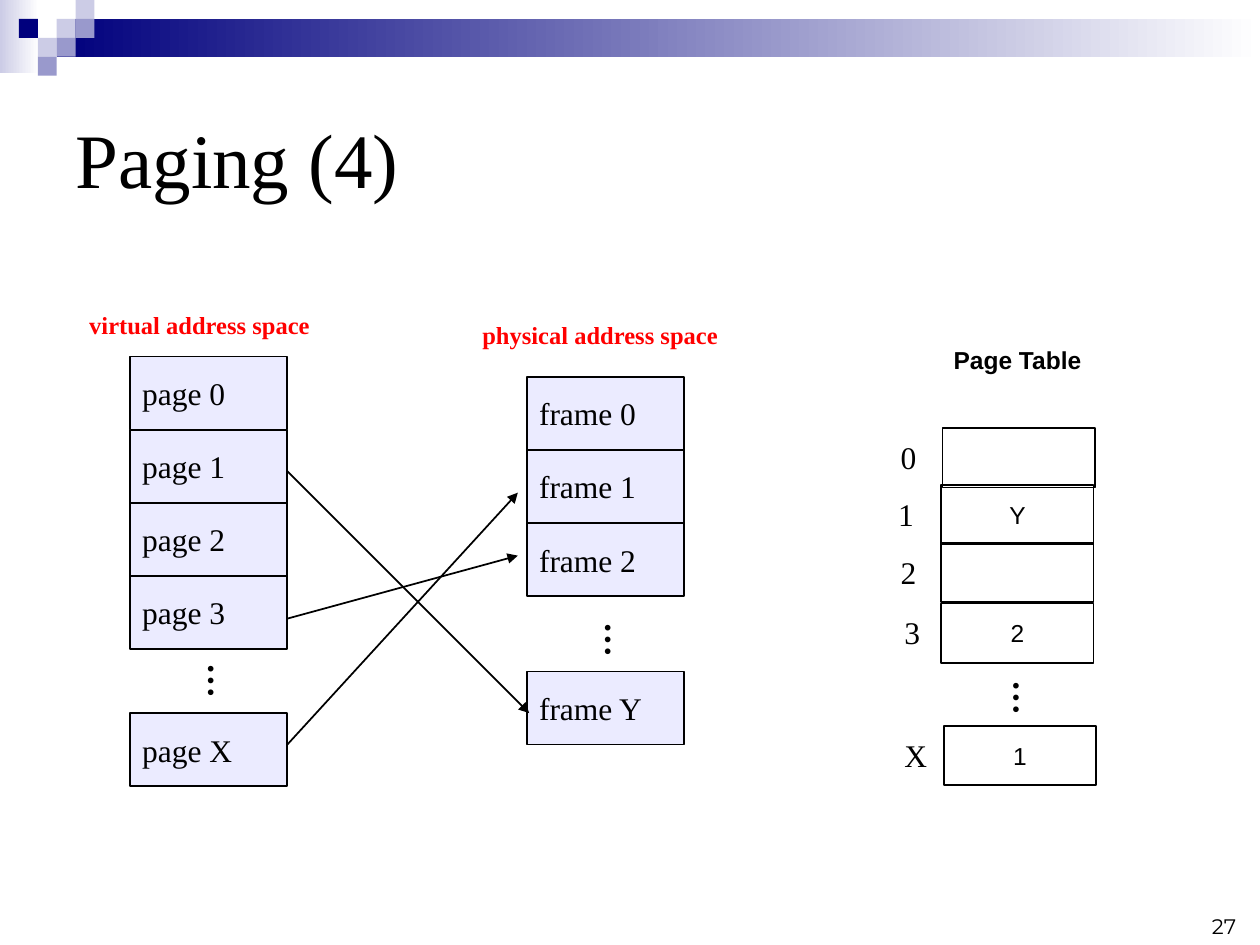
from dataclasses import dataclass

from lxml.etree import SubElement
from pptx import Presentation
from pptx.dml.color import RGBColor
from pptx.enum.shapes import MSO_CONNECTOR, MSO_SHAPE
from pptx.enum.text import MSO_ANCHOR as Anchor, PP_ALIGN as Align
from pptx.oxml.ns import qn
from pptx.util import Inches, Pt


@dataclass(frozen=True)
class Theme:
    navy: str = "00007D"
    violet: str = "9999CC"
    lavender: str = "CCCCE6"
    cell: str = "EBEBFF"
    white: str = "FFFFFF"
    black: str = "000000"
    red: str = "FF0000"
    serif: str = "Times New Roman"
    sans: str = "Arial"
    number_font: str = "Montserrat"
    title: int = 44
    dots: int = 20
    body: int = 18
    caption: int = 14
    number: int = 12


THEME = Theme()
CELL_WIDTH, CELL_HEIGHT = 1.25, 0.58
ENTRY_WIDTH, ENTRY_HEIGHT = 1.21, 0.47


def color(value):
    return RGBColor.from_string(value)


def write(shape, text, size, font=THEME.serif, ink=THEME.black, bold=False,
          align=Align.LEFT, anchor=Anchor.TOP, wrap=False):
    frame = shape.text_frame
    frame.word_wrap = wrap
    frame.vertical_anchor = anchor
    para = frame.paragraphs[0]
    para.alignment = align
    span = para.add_run()
    span.text = text
    span.font.name = font
    span.font.size = Pt(size)
    span.font.bold = bold
    span.font.color.rgb = color(ink)


def add_text(page, box, text, size, **style):
    shape = page.shapes.add_textbox(*map(Inches, box))
    write(shape, text, size, **style)
    return shape


def add_box(page, box, fill=None, outlined=True):
    shape = page.shapes.add_shape(MSO_SHAPE.RECTANGLE, *map(Inches, box))
    shape.shadow.inherit = False
    if fill:
        shape.fill.solid()
        shape.fill.fore_color.rgb = color(fill)
    else:
        shape.fill.background()
    if outlined:
        shape.line.color.rgb = color(THEME.black)
        shape.line.width = Pt(1)
    else:
        shape.line.fill.background()
    return shape


def add_fade(page, box, start):
    """Add a bar that fades from the start colour to white, left to right."""
    bar = add_box(page, box, outlined=False)
    bar.fill.gradient()
    bar.fill.gradient_angle = 0
    for stop, value, position in zip(bar.fill.gradient_stops, (start, THEME.white), (0, 1)):
        stop.color.rgb = color(value)
        stop.position = position


def add_dots(page, left, top):
    dots = add_text(page, (left, top, 0.48, 0.43), "…", THEME.dots, bold=True)
    dots.rotation = 270


def add_arrow(page, start, end):
    arrow = page.shapes.add_connector(MSO_CONNECTOR.STRAIGHT, *map(Inches, start + end))
    arrow.line.color.rgb = color(THEME.black)
    arrow.line.width = Pt(1)
    SubElement(arrow.line._get_or_add_ln(), qn("a:tailEnd"), type="triangle")
    SubElement(arrow._element.spPr, qn("a:effectLst"))


def add_header(page):
    add_fade(page, (0, 0, 0.31, 0.58), THEME.lavender)
    add_fade(page, (0.45, 0.15, 9.55, 0.3), THEME.navy)
    side = 0.15
    tiles = [(3, 1, THEME.lavender), (4, 0, THEME.lavender), (4, 1, THEME.violet),
             (2, 2, THEME.lavender), (1, 1, THEME.navy), (3, 2, THEME.violet),
             (2, 3, THEME.violet)]
    for column, row, fill in tiles:
        add_box(page, (column * side, row * side, side, side), fill, outlined=False)


def add_title(page, box, text):
    title = page.shapes.title
    title.left, title.top, title.width, title.height = map(Inches, box)
    write(title, text, THEME.title, anchor=Anchor.MIDDLE, wrap=True)


def add_address_space(page, left, top, caption, caption_box, cells, last_cell, last_top):
    """Stack the cells, then dots, then the last cell."""
    add_text(page, caption_box, caption, THEME.caption, ink=THEME.red, bold=True)
    stack = [(text, top + row * CELL_HEIGHT) for row, text in enumerate(cells)]
    for text, cell_top in stack + [(last_cell, last_top)]:
        cell = add_box(page, (left, cell_top, CELL_WIDTH, CELL_HEIGHT), THEME.cell)
        write(cell, text, THEME.body, anchor=Anchor.MIDDLE)
    add_dots(page, left + 0.31, last_top - 0.47)


def add_page_table(page, caption_box, entries):
    add_text(page, caption_box, "Page Table", THEME.caption, font=THEME.sans,
             bold=True, align=Align.CENTER, wrap=True)
    for index, index_left, left, top, value in entries:
        add_text(page, (index_left, top + 0.03, 0.35, 0.4), index, THEME.body)
        entry = add_box(page, (left, top, ENTRY_WIDTH, ENTRY_HEIGHT))
        if value:
            write(entry, value, THEME.caption, font=THEME.sans,
                  align=Align.CENTER, anchor=Anchor.MIDDLE)
    add_dots(page, 7.73, 5.32)


def main():
    deck = Presentation()
    deck.slide_width, deck.slide_height = Inches(10), Inches(7.5)
    page = deck.slides.add_slide(deck.slide_layouts[5])

    add_header(page)
    add_title(page, (0.5, 0.5, 9, 1.5), "Paging (4)")
    add_text(page, (7.58, 7, 2.33, 0.5), "27", THEME.number, font=THEME.number_font,
             align=Align.RIGHT, anchor=Anchor.BOTTOM, wrap=True)
    add_address_space(page, 4.18, 2.99, "physical address space", (3.73, 2.49, 2.38, 0.33),
                      ["frame 0", "frame 1", "frame 2"], "frame Y", 5.33)
    add_address_space(page, 1.03, 2.83, "virtual address space", (0.61, 2.41, 2.18, 0.33),
                      ["page 0", "page 1", "page 2", "page 3"], "page X", 5.66)
    for start, end in [((2.28, 4.91), (4.11, 4.41)),
                       ((2.28, 3.74), (4.2, 5.66)),
                       ((2.28, 5.91), (4.11, 3.91))]:
        add_arrow(page, start, end)
    add_page_table(page, (6.83, 2.69, 2.49, 0.34), [
        ("0", 7.05, 7.48, 3.4, ""),
        ("1", 7.03, 7.47, 3.85, "Y"),
        ("2", 7.05, 7.47, 4.31, ""),
        ("3", 7.08, 7.47, 4.79, "2"),
        ("X", 7.08, 7.49, 5.76, "1"),
    ])
    deck.save("out.pptx")


if __name__ == "__main__":
    main()
